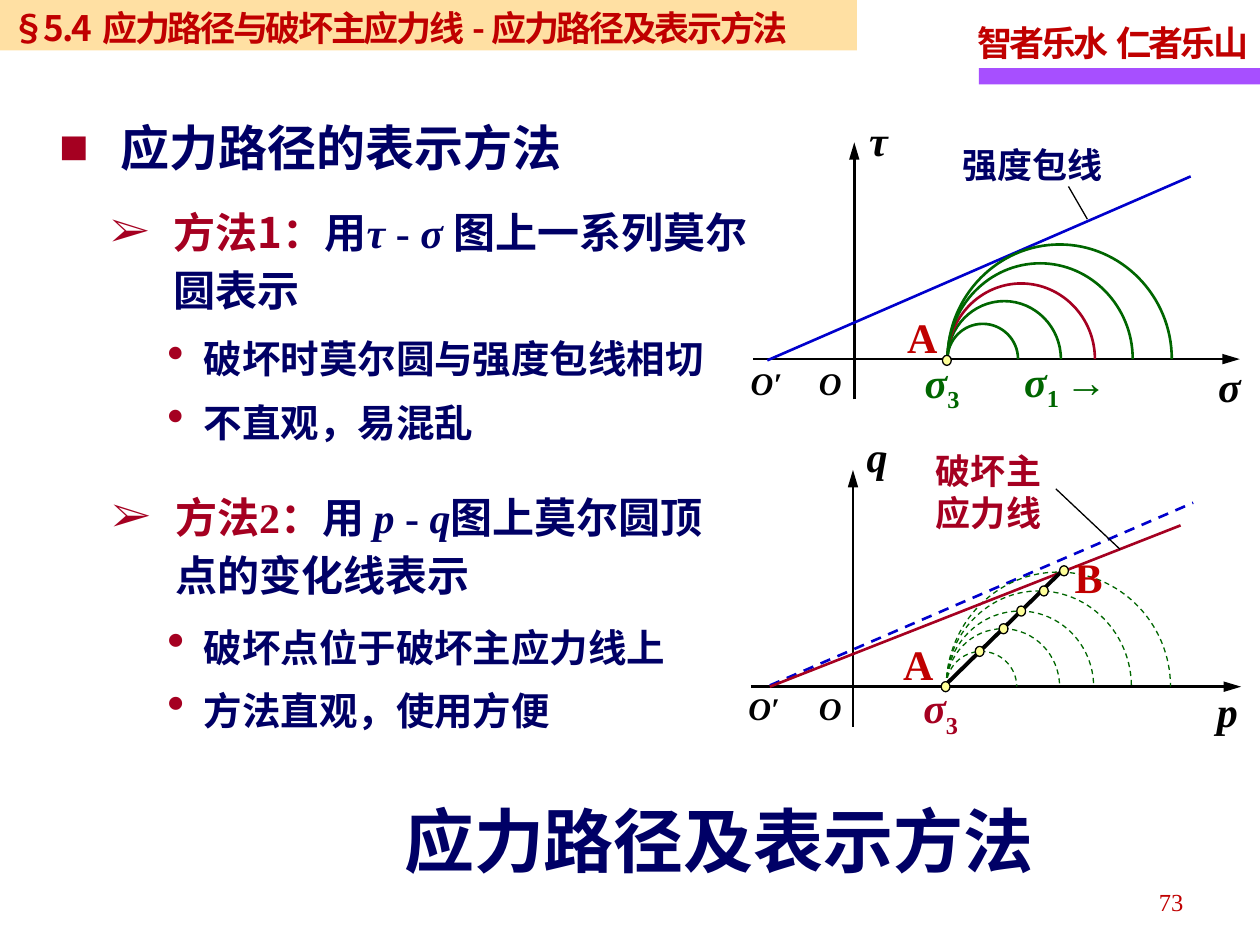
from lxml import etree
from pptx import Presentation
from pptx.dml.color import RGBColor
from pptx.enum import dml, shapes, text
from pptx.oxml.ns import qn
from pptx.util import Inches, Pt

COLORS = {"navy": "000066", "crimson": "A50021", "red": "C00000", "green": "006600",
          "blue": "0000CC", "black": "000000", "purple": "A74FFF", "band": "FFCC66",
          "dot": "FFFF99"}
SERIF, SANS = "Times New Roman", "Noto Sans CJK SC"
CURVE = 0.55  # handle length of a quarter ellipse, in radii

# A run is (words, changes); changes carry on to the runs after it.
HEADING = [("应力路径的表示方法", {})]
METHODS = [
    (0.88, 1.58, 5.09, [
        ("方法1：", {"color": "crimson"}), ("用", {"color": "navy"}),
        ("τ", {"font": SERIF, "italic": True}), (" - ", {"italic": False}),
        ("σ ", {"italic": True}), ("图上", {"italic": False}),
        ("一系列莫尔圆表示", {"font": SANS})]),
    (0.89, 3.84, 4.84, [
        ("方法2：", {"color": "crimson", "font": SERIF}), ("用 ", {"color": "navy"}),
        ("p ", {"italic": True}), ("- ", {"italic": False}), ("q", {"italic": True}),
        ("图上莫尔圆顶点的变化线表示", {"italic": False})]),
]
POINTS = [
    (2.54, 4.68, 1.02, 125, ["破坏时莫尔圆与强度包线相切", "不直观，易混乱"]),
    (4.83, 4.44, 1.06, 130, ["破坏点位于破坏主应力线上", "方法直观，使用方便"]),
]
HEADER = [("§5.4", {"spacing": -1.4}), (" ", {"spacing": 1.7}),
          ("应力路径与破坏主应力线", {"spacing": -1.4}), (" - ", {"spacing": -0.9}),
          ("应力路径及表示方法", {"spacing": -1.4})]
MOTTO = [("智者乐水", {"spacing": -1.7}), (" ", {"spacing": 0}),
         ("仁者乐山", {"spacing": -1.7})]

DOMES = [(0.9, 0.46), (1.17, 0.6), (1.47, 0.76), (1.78, 0.91), (0.56, 0.28)]
RED_DOME = 1
GRAPHS = [
    {"dx": 0, "dy": 0, "text_dy": 0, "x": "σ", "y": "τ", "y_top": 0.86,
     "axis": (5.98, 9.84), "envelope": (6.09, 2.86, 9.45, 1.4),
     "sigma": "green", "width": 1.5, "dash": False},
    {"dx": -0.01, "dy": 2.6, "text_dy": 2.58, "x": "p", "y": "q", "y_top": 3.37,
     "axis": (5.96, 9.85), "envelope": (6.11, 5.44, 9.47, 3.99),
     "sigma": "crimson", "width": 0.75, "dash": True},
]
STRESS_PATH = [(7.78, 5.17), (7.97, 4.99), (8.11, 4.85), (8.29, 4.69), (8.45, 4.53)]
MARKS = [("A", 7.1, 2.42), ("A", 7.07, 5.02), ("B", 8.43, 4.33)]

deck = Presentation()
deck.slide_width, deck.slide_height = Inches(10), Inches(7.5)
page = deck.slides.add_slide(deck.slide_layouts[6])


def rgb(name):
    return RGBColor.from_string(COLORS[name])


def write(para, runs, **style):
    """Add runs to a paragraph, each one keeping the style of the run before."""
    for words, changes in runs:
        style = {**style, **changes}
        span = para.add_run()
        span.text = words
        values = {"name": style.get("font", SERIF), "size": Pt(style["size"]),
                  "bold": style.get("bold", True), "italic": style.get("italic", False)}
        for key, value in values.items():
            setattr(span.font, key, value)
        span.font.color.rgb = rgb(style["color"])
        props = span._r.get_or_add_rPr()
        etree.SubElement(props, qn("a:ea"), typeface=SANS)
        if style.get("spacing"):
            props.set("spc", str(round(style["spacing"] * 100)))
        if style.get("base"):
            props.set("baseline", str(style["base"] * 1000))


def add_text(left, top, width, height, lines, size, color, leading=None, gap=0,
             inset=True, wrap=True, align=text.PP_ALIGN.LEFT, **style):
    box = page.shapes.add_textbox(*map(Inches, (left, top, width, height)))
    frame = box.text_frame
    frame.word_wrap = wrap
    if not inset:
        for side in ("left", "top", "right", "bottom"):
            setattr(frame, "margin_" + side, 0)
    for number, runs in enumerate(lines):
        para = frame.paragraphs[0] if number == 0 else frame.add_paragraph()
        para.alignment = align
        if leading:
            para.line_spacing = leading
        if number and gap:
            para.space_before = Pt(gap)
        write(para, runs, size=size, color=color, **style)
    return box


def add_bullets(box, char, indent, percent=100, font=None):
    for para in box.text_frame.paragraphs:
        props = para._p.get_or_add_pPr()
        props.set("marL", str(Inches(indent)))
        props.set("indent", str(-Inches(indent)))
        tint = etree.SubElement(props, qn("a:buClr"))
        etree.SubElement(tint, qn("a:srgbClr"), val=COLORS["crimson"])
        etree.SubElement(props, qn("a:buSzPct"), val=str(percent * 1000))
        if font:
            etree.SubElement(props, qn("a:buFont"), typeface=font)
        etree.SubElement(props, qn("a:buChar"), char=char)


def add_line(x1, y1, x2, y2, color="black", width=1.5, dash=False, arrow=False):
    line = page.shapes.add_connector(shapes.MSO_CONNECTOR.STRAIGHT,
                                     *map(Inches, (x1, y1, x2, y2)))
    line.line.color.rgb, line.line.width = rgb(color), Pt(width)
    if dash:
        line.line.dash_style = dml.MSO_LINE.DASH
    if arrow:
        etree.SubElement(line.line._get_or_add_ln(), qn("a:tailEnd"),
                         type="triangle", w="med", len="lg")
    etree.SubElement(line._element.spPr, qn("a:effectLst"))


def add_dome(left, base, width, height, color, weight, dash):
    """Draw the upper half of a Mohr circle as two quarter curves."""
    x, y, w, h = map(Inches, (left, base, width, height))
    pen = page.shapes.build_freeform(x, y, scale=1.0)
    pen.add_line_segments([(x + w // 2, y - h), (x + w, y)], close=False)
    dome = pen.convert_to_shape()
    r = w / 2
    quarters = [[(0, h * (1 - CURVE)), (r * (1 - CURVE), 0), (r, 0)],
                [(r * (1 + CURVE), 0), (w, h * (1 - CURVE)), (w, h)]]
    for segment, quarter in zip(list(dome._element.iter(qn("a:lnTo"))), quarters):
        curve = etree.Element(qn("a:cubicBezTo"))
        for px, py in quarter:
            etree.SubElement(curve, qn("a:pt"), x=str(round(px)), y=str(round(py)))
        segment.getparent().replace(segment, curve)
    dome.shadow.inherit = False
    dome.fill.background()
    dome.line.color.rgb, dome.line.width = rgb(color), Pt(weight)
    if dash:
        dome.line.dash_style = dml.MSO_LINE.DASH


def add_block(kind, left, top, width, height, color):
    block = page.shapes.add_shape(kind, *map(Inches, (left, top, width, height)))
    block.shadow.inherit = False
    block.fill.solid()
    block.fill.fore_color.rgb = rgb(color)
    block.line.fill.background()
    return block


def add_dot(x, y):
    dot = add_block(shapes.MSO_SHAPE.OVAL, x - 0.04, y - 0.04, 0.07, 0.08, "dot")
    dot.line.color.rgb, dot.line.width = rgb("black"), Pt(0.75)


def add_graph(graph):
    dx, base = graph["dx"], 2.85 + graph["dy"]
    label = 2.85 + graph["text_dy"]
    add_line(6.78 + dx, base + 0.32, 6.78 + dx, base - 1.72, arrow=True)
    add_line(graph["axis"][0], base, graph["axis"][1], base, arrow=True)
    add_line(*graph["envelope"], "blue", dash=graph["dash"])
    for number, (width, height) in enumerate(DOMES):
        red = number == RED_DOME and not graph["dash"]
        add_dome(7.52 + dx, base, width, height, "crimson" if red else "green",
                 graph["width"], graph["dash"])
    for words, left, top, width, size in [
            (graph["x"], 9.57 + dx, label - 0.04, 0.42, 24),
            (graph["y"], 6.8 + 2 * dx, graph["y_top"], 0.42, 24),
            ("O", 6.4, label - 0.01, 0.42, 18),
            ("O′", 5.86 + 2 * dx, label - 0.01, 0.62, 18)]:
        add_text(left, top, width, 0.5 if size == 24 else 0.4, [[(words, {})]],
                 size, "black", italic=True)
    add_text(7.24 + dx, label - 0.07, 0.55, 0.5,
             [[("σ", {"italic": True}), ("3", {"italic": False, "base": -25})]],
             24, graph["sigma"])


# Header, motto and page number
add_block(shapes.MSO_SHAPE.RECTANGLE, 7.77, 0.54, 2.23, 0.13, "purple")
add_text(7.66, 0.07, 2.36, 0.49, [MOTTO], 20, "red", leading=1.15, wrap=False)
band = add_block(shapes.MSO_SHAPE.RECTANGLE, -0.01, 0, 6.81, 0.4, "band")
tint = band.fill._xPr.find(qn("a:solidFill"))[0]
etree.SubElement(tint, qn("a:alpha"), val="60000")
band.text_frame.vertical_anchor = text.MSO_ANCHOR.TOP
band.text_frame.paragraphs[0].alignment = text.PP_ALIGN.LEFT
write(band.text_frame.paragraphs[0], HEADER, size=20, color="red", font=SANS)
add_text(7.16, 6.96, 2.33, 0.4, [[("73", {})]], 14, "red", leading=1.15, bold=False,
         align=text.PP_ALIGN.RIGHT)

# Outline on the left
heading = add_text(0.47, 0.84, 4.1, 0.57, [HEADING], 28, "navy", leading=1.2,
                   inset=False, font=SANS)
add_bullets(heading, "■", 0.49, font=SERIF)
for left, top, width, runs in METHODS:
    method = add_text(left, top, width, 0.93, [runs], 24, "navy", leading=1.15,
                      inset=False, font=SANS)
    add_bullets(method, "➢", 0.5, font=SERIF)
for top, width, height, percent, lines in POINTS:
    points = add_text(1.23, top, width, height, [[(line, {})] for line in lines], 22,
                      "navy", leading=1.2, gap=4.4, font=SANS)
    add_bullets(points, "•", 0.29, percent)

# Graphs on the right
for graph in GRAPHS:
    add_graph(graph)
add_text(8.03, 2.77, 0.98, 0.5,
         [[("σ", {"italic": True}), ("1 ", {"italic": False, "base": -25}),
           ("→", {"base": 0})]], 24, "green")
add_text(7.54, 1.09, 1.32, 0.43, [[("强度包线", {})]], 20, "navy", wrap=False)
add_line(8.63, 1.74, 8.48, 1.48, width=0.75)
add_line(6.11, 5.45, 9.37, 4.17, "crimson")
add_line(7.51, 5.43, 8.43, 4.53, width=2.25)
add_text(7.33, 3.52, 1.04, 0.77, [[("破坏主", {})], [("应力线", {})]], 20, "crimson",
         wrap=False)
add_line(8.89, 4.36, 8.38, 3.88, width=0.75)
for x, y in [(7.52, 2.86), (7.51, 5.45)] + STRESS_PATH:
    add_dot(x, y)
for words, left, top in MARKS:
    add_text(left, top, 0.45, 0.5, [[(words, {})]], 24, "red")

add_text(2.79, 6.28, 5.83, 0.77, [[("应力路径及表示方法", {})]], 40, "navy",
         align=text.PP_ALIGN.CENTER)

deck.save("out.pptx")
